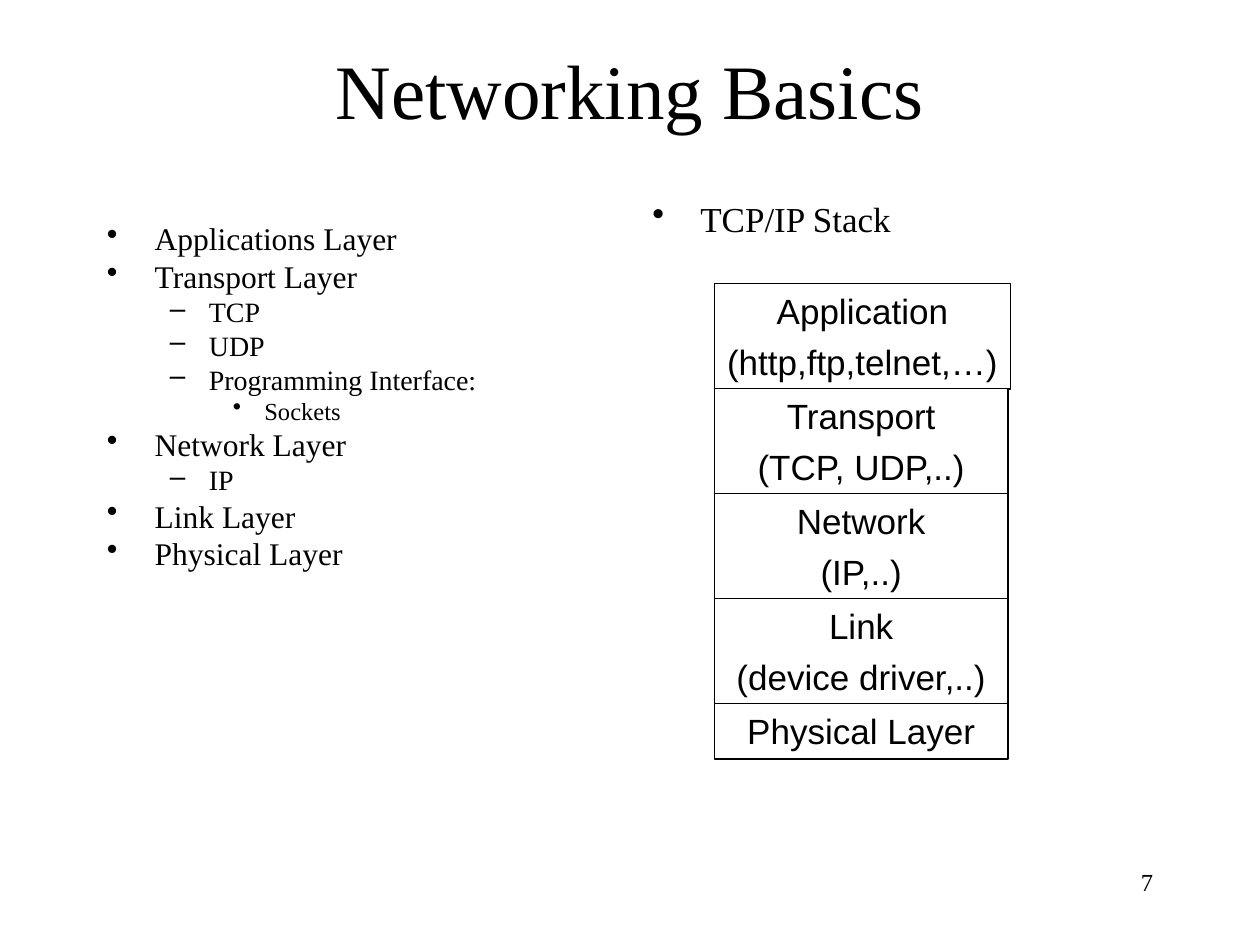
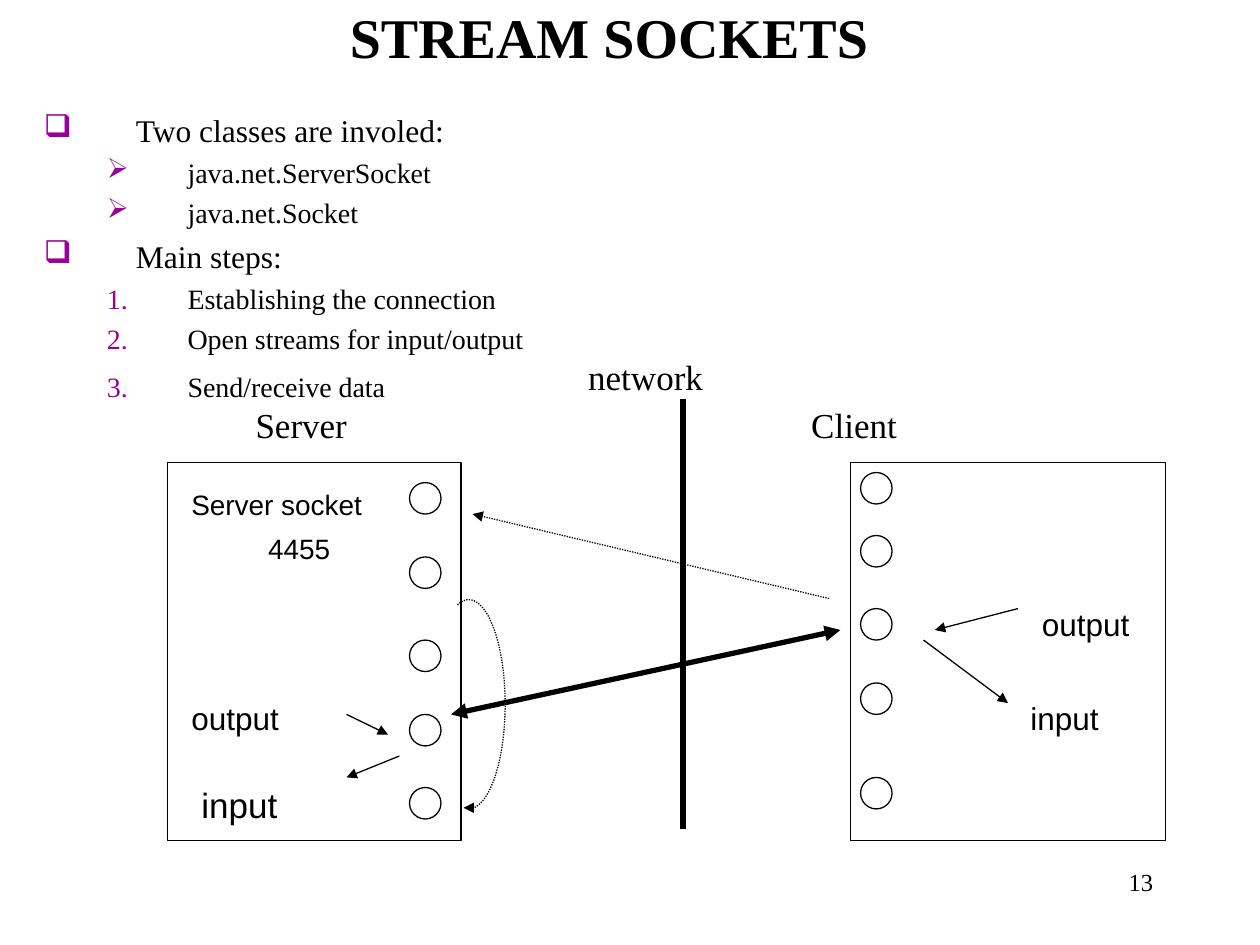
import math
from dataclasses import dataclass
import pptx
import pptx.util
import pptx.dml.color
import pptx.enum.dml
import pptx.enum.shapes
import pptx.enum.text
import pptx.oxml.ns
import lxml.etree

Inches = pptx.util.Inches
Pt = pptx.util.Pt
Align = pptx.enum.text.PP_ALIGN
Shape = pptx.enum.shapes.MSO_SHAPE
Color = pptx.dml.color.RGBColor.from_string
qn = pptx.oxml.ns.qn


@dataclass(frozen=True)
class Theme:
    ink: str = "000000"
    paper: str = "FFFFFF"
    mark: str = "990099"
    serif: str = "Times New Roman"
    sans: str = "Arial"
    title: int = 44
    head: int = 32
    large: int = 20
    main: int = 18
    sub: int = 16
    small: int = 14
    thin: float = 0.75
    edge: float = 1
    thick: float = 3
    gap: float = 0.24


theme = Theme()


def write(frame, rows, size, font=theme.serif, align=Align.LEFT, bold=False):
    frame.word_wrap = True
    for i, words in enumerate(rows):
        para = frame.paragraphs[0] if i == 0 else frame.add_paragraph()
        para.alignment = align
        para.space_before = Pt(size * theme.gap)
        run = para.add_run()
        run.text = words
        run.font.name = font
        run.font.size = Pt(size)
        run.font.bold = bold
        run.font.color.rgb = Color(theme.ink)


def stroke(item, width, dots=False, ends=()):
    item.line.color.rgb = Color(theme.ink)
    item.line.width = Pt(width)
    if dots:
        item.line.dash_style = pptx.enum.dml.MSO_LINE.ROUND_DOT
    for end in ends:
        lxml.etree.SubElement(item.line._get_or_add_ln(), qn("a:" + end), type="triangle")
    lxml.etree.SubElement(item._element.spPr, qn("a:effectLst"))


deck = pptx.Presentation()
deck.slide_width = Inches(10)
deck.slide_height = Inches(7.5)

stack_list = [
    (0, "•", "Applications Layer"),
    (0, "•", "Transport Layer"),
    (1, "–", "TCP"),
    (1, "–", "UDP"),
    (1, "–", "Programming Interface:"),
    (2, "•", "Sockets"),
    (0, "•", "Network Layer"),
    (1, "–", "IP"),
    (0, "•", "Link Layer"),
    (0, "•", "Physical Layer"),
]
sock_list = [
    (0, "❑", "Two classes are involed:"),
    (1, "➢", "java.net.ServerSocket"),
    (1, "➢", "java.net.Socket"),
    (0, "❑", "Main steps:"),
    (1, "1.", "Establishing the connection"),
    (1, "1.", "Open streams for input/output"),
    (1, "1.", "Send/receive data"),
]
sizes = [theme.main, theme.sub, theme.small]
stack_dents = [(0.38, 0.38), (0.81, 0.31), (1.25, 0.25)]
sock_dents = [(0.73, 0.73), (1.14, 0.64)]

pages = [
    ("Networking Basics", (0.75, 0.08, 8.5, 1.25), theme.title, False, "7", [
        ((0.75, 1.75, 4.17, 4.5), stack_list, sizes, stack_dents, 0.8, theme.ink),
        ((5.08, 1.58, 4, 0.58), [(0, "•", "TCP/IP Stack")], [theme.large],
         stack_dents, 0.8, theme.ink),
    ]),
    ("STREAM SOCKETS", (0, 0, 9.67, 0.58), theme.head, True, "13", [
        ((0.25, 0.83, 9.75, 6.08), sock_list, sizes, sock_dents, 1.0, theme.mark),
    ]),
]

slides = []
for title, place, size, bold, number, lists in pages:
    slide = deck.slides.add_slide(deck.slide_layouts[6])
    slides.append(slide)
    slide.background.fill.solid()
    slide.background.fill.fore_color.rgb = Color(theme.paper)
    foot = slide.shapes.add_textbox(*map(Inches, (7.17, 6.83, 2.08, 0.5)))
    write(foot.text_frame, [number], theme.small, align=Align.RIGHT)
    head = slide.shapes.add_textbox(*map(Inches, place))
    head.text_frame.vertical_anchor = pptx.enum.text.MSO_ANCHOR.MIDDLE
    write(head.text_frame, [title], size, align=Align.CENTER, bold=bold)
    for at, rows, scale, dents, pitch, tint in lists:
        frame = slide.shapes.add_textbox(*map(Inches, at)).text_frame
        write(frame, [words for level, sign, words in rows], theme.main)
        for para, (level, sign, words) in zip(frame.paragraphs, rows):
            para.level = level
            para.line_spacing = pitch
            para.space_before = Pt(scale[level] * theme.gap)
            para.runs[0].font.size = Pt(scale[level])
            left, hang = dents[level]
            props = para._p.get_or_add_pPr()
            props.set("marL", str(Inches(left)))
            props.set("indent", str(-Inches(hang)))
            shade = lxml.etree.SubElement(props, qn("a:buClr"))
            lxml.etree.SubElement(shade, qn("a:srgbClr"), val=tint)
            if sign == "1.":
                lxml.etree.SubElement(props, qn("a:buAutoNum"), type="arabicPeriod")
            else:
                lxml.etree.SubElement(props, qn("a:buChar"), char=sign)

stack, sock = slides
frame.paragraphs[-1].space_before = Pt(8.35)

layers = [
    ("Application", "(http,ftp,telnet,…)"),
    ("Transport", "(TCP, UDP,..)"),
    ("Network", "(IP,..)"),
    ("Link", "(device driver,..)"),
    ("Physical Layer",),
]
for i, rows in enumerate(layers):
    wide = 2.35 if i == 0 else 2.33
    tall = 0.84 if len(rows) == 2 else 0.44
    box = stack.shapes.add_shape(
        Shape.RECTANGLE, *map(Inches, (5.67, 2.25 + i * 2.5 / 3, wide, tall)))
    box.fill.solid()
    box.fill.fore_color.rgb = Color(theme.paper)
    stroke(box, theme.edge)
    box.text_frame.vertical_anchor = pptx.enum.text.MSO_ANCHOR.TOP
    write(box.text_frame, rows, theme.large, theme.sans, Align.CENTER)
    box.text_frame.word_wrap = i > 0

hosts = [
    (1.33, 2.33, 3.25, (3.83, 4.42, 5.08, 5.67, 6.25)),
    (6.75, 2.5, 6.83, (3.75, 4.25, 4.83, 5.42, 6.17)),
]
for left, wide, port, tops in hosts:
    forms = [(Shape.RECTANGLE, left, 3.67, wide, 3)]
    forms += [(Shape.OVAL, port, top, 0.25, 0.25) for top in tops]
    for kind, *at in forms:
        item = sock.shapes.add_shape(kind, *map(Inches, at))
        item.fill.background()
        stroke(item, theme.thin)

tail = ("tailEnd",)
both = ("headEnd", "tailEnd")
links = [
    ((5.42, 3.17, 5.42, 6.58), theme.thick, False, ()),
    ((6.58, 4.75, 3.75, 4.08), theme.thin, True, tail),
    ((3.58, 5.67, 6.67, 5), theme.thick, False, both),
    ((2.75, 5.67, 3.08, 5.83), theme.thin, False, tail),
    ((3.17, 6, 2.75, 6.17), theme.thin, False, tail),
    ((8.08, 4.83, 7.42, 5), theme.thin, False, tail),
    ((7.33, 5.08, 8, 5.58), theme.thin, False, tail),
]
for ends, width, dots, heads in links:
    link = sock.shapes.add_connector(
        pptx.enum.shapes.MSO_CONNECTOR.STRAIGHT, *map(Inches, ends))
    stroke(link, width, dots, heads)

turns = [math.radians(angle) for angle in range(-108, 99, 2)]
points = [(Inches(3.72 + 0.29 * math.cos(turn)), Inches(5.59 + 0.83 * math.sin(turn)))
          for turn in turns]
path = sock.shapes.build_freeform(*points[0])
path.add_line_segments(points[1:], close=False)
curve = path.convert_to_shape()
curve.fill.background()
stroke(curve, theme.thin, True, tail)

labels = [
    ("network", (4.57, 2.77, 1.3, 0.43), theme.large, theme.serif),
    ("Server", (1.93, 3.15, 1.2, 0.43), theme.large, theme.serif),
    ("Client", (6.34, 3.15, 1.2, 0.43), theme.large, theme.serif),
    ("Server socket", (1.42, 3.82, 1.67, 0.37), theme.sub, theme.sans),
    ("4455", (2.03, 4.17, 0.97, 0.37), theme.sub, theme.sans),
    ("output", (1.42, 5.5, 1.33, 0.4), theme.main, theme.sans),
    ("input", (1.5, 6.17, 1.25, 0.43), theme.large, theme.sans),
    ("output", (8.17, 4.75, 1.08, 0.4), theme.main, theme.sans),
    ("input", (8.08, 5.5, 1.17, 0.4), theme.main, theme.sans),
]
for words, at, size, font in labels:
    label = sock.shapes.add_textbox(*map(Inches, at))
    write(label.text_frame, [words], size, font)

deck.save("out.pptx")
